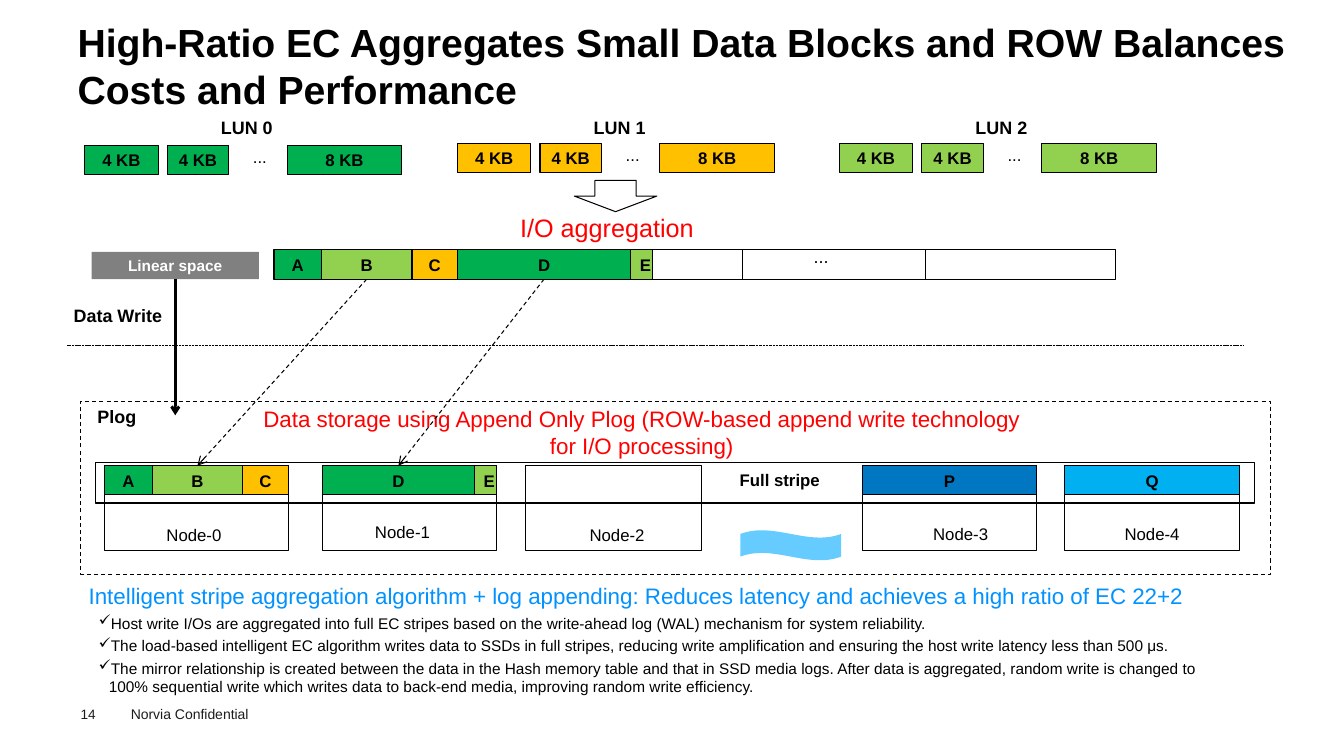
import pptx
import pptx.util
import pptx.dml.color
import pptx.enum.dml
import pptx.enum.shapes
import pptx.enum.text
import pptx.oxml.ns
import lxml.etree

Inches = pptx.util.Inches
Pt = pptx.util.Pt
SHAPE = pptx.enum.shapes.MSO_SHAPE
DASH = pptx.enum.dml.MSO_LINE
ALIGN = pptx.enum.text.PP_ALIGN
ANCHOR = pptx.enum.text.MSO_ANCHOR
qn = pptx.oxml.ns.qn

COLORS = {
    "black": "000000", "white": "FFFFFF", "ink": "1D1D1B", "gray": "808080",
    "green": "00B050", "lime": "92D050", "amber": "FFC000", "red": "FF0000",
    "headline": "0192FF", "wave": "66CCFF", "parity_p": "0077C0", "parity_q": "00B0F0",
}
TIGHT = (0.07, 0.04, 0.07, 0.04)
BLOCK = (0.09, 0.04, 0.09, 0.04)
NORMAL = (0.1, 0.05, 0.1, 0.05)
BAR = 0.29


def rgb(name):
    return pptx.dml.color.RGBColor.from_string(COLORS[name])


def apply(target, values):
    for name, value in values.items():
        setattr(target, name, value)


def set_frame(frame, insets, anchor):
    sides = ("margin_left", "margin_top", "margin_right", "margin_bottom")
    apply(frame, dict(zip(sides, map(Inches, insets))))
    apply(frame, {"word_wrap": True, "vertical_anchor": anchor})


def write(paragraph, text, size, color="black", bold=False, align=ALIGN.CENTER):
    paragraph.text = text
    paragraph.alignment = align
    apply(paragraph.font, {"name": "Arial", "size": Pt(size), "bold": bold})
    paragraph.font.color.rgb = rgb(color)


def add_text(slide, box, text, size, insets=TIGHT, anchor=ANCHOR.TOP, **style):
    frame = slide.shapes.add_textbox(*map(Inches, box)).text_frame
    set_frame(frame, insets, anchor)
    write(frame.paragraphs[0], text, size, **style)
    return frame


def add_block(slide, box, fill="white", text="", line=0.75, kind=SHAPE.RECTANGLE,
              size=12, color="black", dash=None):
    shape = slide.shapes.add_shape(kind, *map(Inches, box))
    shape.shadow.inherit = False
    if fill:
        shape.fill.solid()
        shape.fill.fore_color.rgb = rgb(fill)
    else:
        shape.fill.background()
    if line:
        shape.line.color.rgb = rgb("black")
        apply(shape.line, {"width": Pt(line), "dash_style": dash})
    else:
        shape.line.fill.background()
    if text:
        set_frame(shape.text_frame, BLOCK, ANCHOR.MIDDLE)
        write(shape.text_frame.paragraphs[0], text, size, color, True)
    return shape


def add_line(slide, start, end, width, dash=None, arrow=True):
    connector = slide.shapes.add_connector(
        pptx.enum.shapes.MSO_CONNECTOR.STRAIGHT, *map(Inches, start + end))
    connector.line.color.rgb = rgb("black")
    apply(connector.line, {"width": Pt(width), "dash_style": dash})
    if arrow:
        lxml.etree.SubElement(connector.line._get_or_add_ln(), qn("a:tailEnd"), type="arrow")
    lxml.etree.SubElement(connector._element.spPr, qn("a:effectLst"))
    return connector


def add_segments(slide, left, top, segments):
    shapes = {}
    for text, width, fill in segments:
        shapes[text] = add_block(slide, (left, top, width, BAR), fill, text)
        left += width
    return shapes


def add_title(slide, box):
    title = slide.shapes.title
    apply(title, dict(zip(("left", "top", "width", "height"), map(Inches, box))))
    set_frame(title.text_frame, (0, 0.05, 0.1, 0.05), ANCHOR.TOP)
    title.text_frame.auto_size = pptx.enum.text.MSO_AUTO_SIZE.NONE
    write(title.text_frame.paragraphs[0],
          "High-Ratio EC Aggregates Small Data Blocks and ROW Balances Costs and Performance",
          28, bold=True, align=ALIGN.LEFT)


def add_lun(slide, left, top, name, fill):
    add_text(slide, (left + 1, 1.12, 1.22, BAR), name, 12.8, bold=True)
    for offset, width, text in ((0, 0.73, "4 KB"), (0.82, 0.61, "4 KB"), (2.01, 1.14, "8 KB")):
        add_block(slide, (left + offset, top, width, BAR), fill, text)
    add_text(slide, (left + 1.13, top - 0.02, 1.22, 0.28), "...", 12)


def add_linear_space(slide, left, top):
    label = add_block(slide, (left, top + 0.02, 1.66, 0.27), "gray", "Linear space",
                      line=None, size=11, color="white")
    start = left + 1.81
    segments = add_segments(slide, start, top, (
        ("A", 0.47, "green"), ("B", 0.9, "lime"), ("C", 0.45, "amber"),
        ("D", 1.72, "green"), ("E", 0.22, "lime")))
    edge = start + 3.76
    for width in (0.89, 1.82, 1.88):
        add_block(slide, (edge, top, width, BAR))
        edge += width
    add_text(slide, (left + 6.63, top - 0.08, 1.22, BAR), "...", 12.8)
    return label, segments


def add_plog(slide, box):
    left, top, width, height = box
    add_block(slide, box, dash=DASH.DASH)
    node_top = top + 0.64
    nodes = (
        (0.24, 1.82, 0.24, 0.54, (("A", 0.47, "green"), ("B", 0.9, "lime"), ("C", 0.45, "amber"))),
        (2.4, 1.73, 0.15, 0.51, (("D", 1.51, "green"), ("E", 0.22, "lime"))),
        (4.42, 1.74, 0.26, 0.54, ()),
        (7.76, 1.73, 0.33, 0.53, (("P", 1.73, "parity_p"),)),
        (9.77, 1.73, 0.22, 0.53, (("Q", 1.73, "parity_q"),)),
    )
    stored = {}
    for number, (offset, node_width, shift, drop, segments) in enumerate(nodes):
        node_left = left + offset
        add_block(slide, (node_left, node_top, node_width, 0.84))
        stored.update(add_segments(slide, node_left, node_top, segments))
        add_text(slide, (node_left + shift, node_top + drop, 1.29, 0.3),
                 f"Node-{number}", 12, insets=NORMAL)
    add_block(slide, (left + 6.55, top + 1.28, 1, 0.3), "wave", line=None, kind=SHAPE.WAVE)
    add_text(slide, (left + 6.05, node_top, 1.78, 0.28), "Full stripe", 12,
             anchor=ANCHOR.MIDDLE, bold=True)
    add_block(slide, (left + 0.15, top + 0.61, width - 0.31, 0.4), None, line=1)
    add_text(slide, (left - 0.23, top, 1.18, BAR), "Plog", 12.8, bold=True)
    add_text(slide, (left + 1.65, top, 7.84, 0.61),
             "Data storage using Append Only Plog (ROW-based append write technology "
             "for I/O processing)", 16, color="red")
    return stored


def add_summary(slide, box):
    frame = add_text(
        slide, box, "Intelligent stripe aggregation algorithm + log appending: "
        "Reduces latency and achieves a high ratio of EC 22+2", 16,
        insets=(0.13, 0.07, 0.13, 0.07), color="headline", align=ALIGN.LEFT)
    points = (
        "Host write I/Os are aggregated into full EC stripes based on the write-ahead log (WAL) "
        "mechanism for system reliability.",
        "The load-based intelligent EC algorithm writes data to SSDs in full stripes, reducing "
        "write amplification and ensuring the host write latency less than 500 μs.",
        "The mirror relationship is created between the data in the Hash memory table and that in "
        "SSD media logs. After data is aggregated, random write is changed to 100% sequential "
        "write which writes data to back-end media, improving random write efficiency.",
    )
    for point in points:
        paragraph = frame.add_paragraph()
        paragraph.space_before = Pt(3)
        properties = paragraph._p.get_or_add_pPr()
        properties.set("marL", str(Inches(0.2)))
        properties.set("indent", str(Inches(-0.1)))
        lxml.etree.SubElement(properties, qn("a:buChar"), char="✓")
        write(paragraph, point, 11, align=ALIGN.LEFT)


def add_flow(slide, label, segments, stored):
    write_arrow = add_line(slide, (1.74, 2.77), (1.74, 4.12), 2)
    write_arrow.begin_connect(label, 2)
    add_text(slide, (0.51, 2.98, 1.32, BAR), "Data Write", 12.8, bold=True)
    for name in "BD":
        arrow = add_line(slide, (3.64, 2.77), (1.97, 4.62), 0.75, DASH.DASH)
        arrow.begin_connect(segments[name], 2)
        arrow.end_connect(stored[name], 0)


def add_footer(slide, left, top):
    add_text(slide, (left, top + 0.05, 0.55, 0.16), "14", 9.7, insets=(0, 0, 0, 0),
             color="ink", align=ALIGN.LEFT)
    add_text(slide, (left + 0.4, top, 1.6, 0.27), "Norvia Confidential", 10, insets=NORMAL,
             color="ink", align=ALIGN.LEFT)


def main():
    presentation = pptx.Presentation()
    apply(presentation, {"slide_width": Inches(13.34), "slide_height": Inches(7.5)})
    slide = presentation.slides.add_slide(presentation.slide_layouts[5])
    add_title(slide, (0.77, 0.13, 12.29, 0.53))
    add_lun(slide, 0.84, 1.44, "LUN 0", "green")
    add_lun(slide, 4.54, 1.42, "LUN 1", "amber")
    add_lun(slide, 8.33, 1.42, "LUN 2", "lime")
    add_block(slide, (5.7, 1.79, 0.82, 0.31), None, kind=SHAPE.DOWN_ARROW)
    add_text(slide, (2.99, 2.07, 6.07, 0.38), "I/O aggregation", 18, color="red")
    label, segments = add_linear_space(slide, 0.91, 2.48)
    add_line(slide, (0.67, 3.42), (12.34, 3.42), 0.25, DASH.SQUARE_DOT, arrow=False)
    stored = add_plog(slide, (0.8, 3.98, 11.81, 1.72))
    add_flow(slide, label, segments, stored)
    add_summary(slide, (0.75, 5.71, 11.33, 1.6))
    add_footer(slide, 0.8, 6.95)
    presentation.save("out.pptx")


if __name__ == "__main__":
    main()
